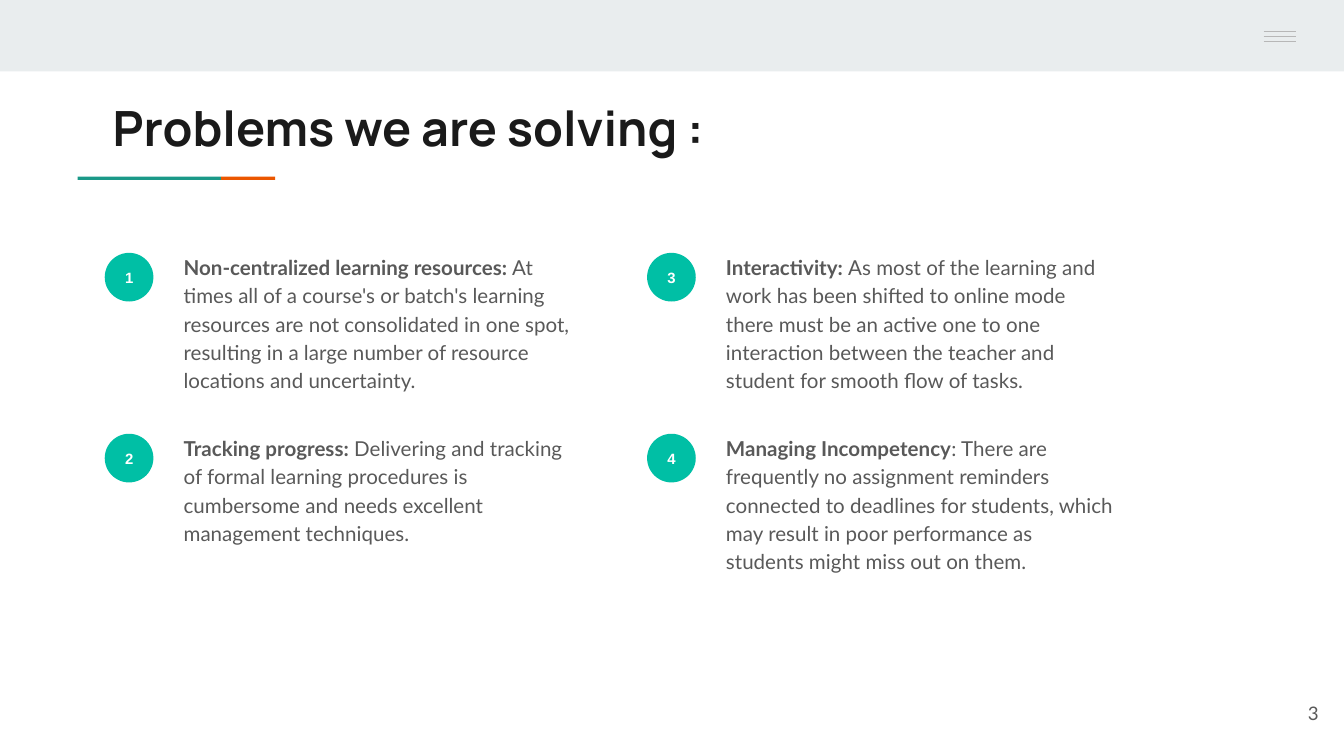
"""Builds the slide listing the four problems being solved."""
import pptx
import pptx.dml.color
import pptx.enum.shapes
import pptx.enum.text
import pptx.oxml.ns
import pptx.util
from lxml import etree

Cm, Pt = pptx.util.Cm, pptx.util.Pt
RGBColor = pptx.dml.color.RGBColor
Align, Anchor = pptx.enum.text.PP_ALIGN, pptx.enum.text.MSO_ANCHOR
Shape = pptx.enum.shapes.MSO_SHAPE

BAND = RGBColor(0xE9, 0xED, 0xEE)
MENU = RGBColor(0xB7, 0xB7, 0xB7)
TEAL = RGBColor(0x1A, 0x99, 0x88)
ORANGE = RGBColor(0xEB, 0x56, 0x00)
BADGE = RGBColor(0x00, 0xBF, 0xA5)
INK = RGBColor(0x1A, 0x1A, 0x1A)
GRAY = RGBColor(0x59, 0x59, 0x59)
WHITE = RGBColor(0xFF, 0xFF, 0xFF)

PROBLEMS = [
    ("Non-centralized learning resources:",
     " At times all of a course's or batch's learning resources are not consolidated in one spot, "
     "resulting in a large number of resource locations and uncertainty."),
    ("Tracking progress: ",
     "Delivering and tracking of formal learning procedures is cumbersome and needs excellent "
     "management techniques."),
    ("Interactivity: ",
     "As most of the learning and work has been shifted to online mode there must be an active "
     "one to one interaction between the teacher and student for smooth flow of tasks."),
    ("Managing Incompetency",
     ": There are frequently no assignment reminders connected to deadlines for students, which "
     "may result in poor performance as students might miss out on them."),
]


def set_values(target, values):
    for name, value in values.items():
        setattr(target, name, value)


class SlideBuilder:
    STYLES = {
        "title": {"name": "Manrope", "size": Pt(26), "bold": True, "color": INK},
        "lead": {"name": "Lato", "size": Pt(11), "bold": True, "color": GRAY},
        "body": {"name": "Lato", "size": Pt(11), "bold": False, "color": GRAY},
        "badge": {"name": "Arial", "size": Pt(8), "bold": True, "color": WHITE},
        "number": {"name": "Lato", "size": Pt(10), "bold": False, "color": GRAY},
    }
    FRAME = {"word_wrap": True, "auto_size": pptx.enum.text.MSO_AUTO_SIZE.NONE,
             **{f"margin_{side}": Cm(0.25) for side in ("left", "top", "right", "bottom")}}

    def __init__(self, page):
        self.page = page

    def add_spans(self, box, spans, anchor=Anchor.TOP, **layout):
        set_values(box.text_frame, {**self.FRAME, "vertical_anchor": anchor})
        para = box.text_frame.paragraphs[0]
        set_values(para, {"alignment": Align.LEFT, "space_before": Pt(0), **layout})
        for text, style in spans:
            span = para.add_run()
            span.text = text
            values = dict(self.STYLES[style])
            span.font.color.rgb = values.pop("color")
            set_values(span.font, values)

    def placeholder(self, index, place, spans, **layout):
        box = self.page.placeholders[index]
        set_values(box, dict(zip(("left", "top", "width", "height"), map(Cm, place))))
        properties = box.text_frame.paragraphs[0]._p.get_or_add_pPr()
        for name in ("marL", "indent"):
            properties.set(name, "0")
        etree.SubElement(properties, pptx.oxml.ns.qn("a:buNone"))
        self.add_spans(box, spans, **layout)

    def shape(self, kind, place, color):
        box = self.page.shapes.add_shape(kind, *map(Cm, place))
        box.shadow.inherit = False
        box.fill.solid()
        box.fill.fore_color.rgb = color
        box.line.fill.background()
        return box

    def badge(self, left, top, label):
        box = self.shape(Shape.OVAL, (left, top, 0.92, 0.92), BADGE)
        self.add_spans(box, [(label, "badge")], Anchor.MIDDLE, alignment=Align.CENTER)

    def line(self, left, right, top):
        line = self.page.shapes.add_connector(
            pptx.enum.shapes.MSO_CONNECTOR.STRAIGHT, Cm(left), Cm(top), Cm(right), Cm(top))
        line.line.color.rgb = MENU
        line.line.width = Pt(0.75)
        etree.SubElement(line._element.spPr, pptx.oxml.ns.qn("a:effectLst"))

    def page_number(self, place, label):
        box = self.page.shapes.add_textbox(*map(Cm, place))
        self.add_spans(box, [(label, "number")], Anchor.MIDDLE, alignment=Align.RIGHT)


def main():
    deck = pptx.Presentation()
    set_values(deck, {"slide_width": Cm(25.4), "slide_height": Cm(14.29)})
    builder = SlideBuilder(deck.slides.add_slide(deck.slide_layouts[4]))

    builder.shape(Shape.RECTANGLE, (0, 0, 25.4, 1.35), BAND)
    for step in range(3):
        builder.line(23.88, 24.49, 0.6 + 0.09 * step)
    builder.shape(Shape.RECTANGLE, (1.47, 3.34, 2.71, 0.06), TEAL)
    builder.shape(Shape.RECTANGLE, (4.18, 3.34, 1.02, 0.06), ORANGE)
    builder.placeholder(0, (1.88, 1.6, 21.36, 1.5), [("Problems we are solving :", "title")])

    for index, (lead, body) in enumerate(PROBLEMS):
        column, row = divmod(index, 2)
        left, top = 1.98 + 10.25 * column, 4.5 + 3.42 * row
        builder.badge(left, top + 0.28, str(index + 1))
        builder.placeholder(index + 1, (left + 1.24, top, 7.87, 2.92),
                            [(lead, "lead"), (body, "body")],
                            line_spacing=1.15, space_after=Pt(16))

    builder.page_number((23.65, 12.93, 1.52, 1.09), "3")
    deck.save("out.pptx")


if __name__ == "__main__":
    main()
